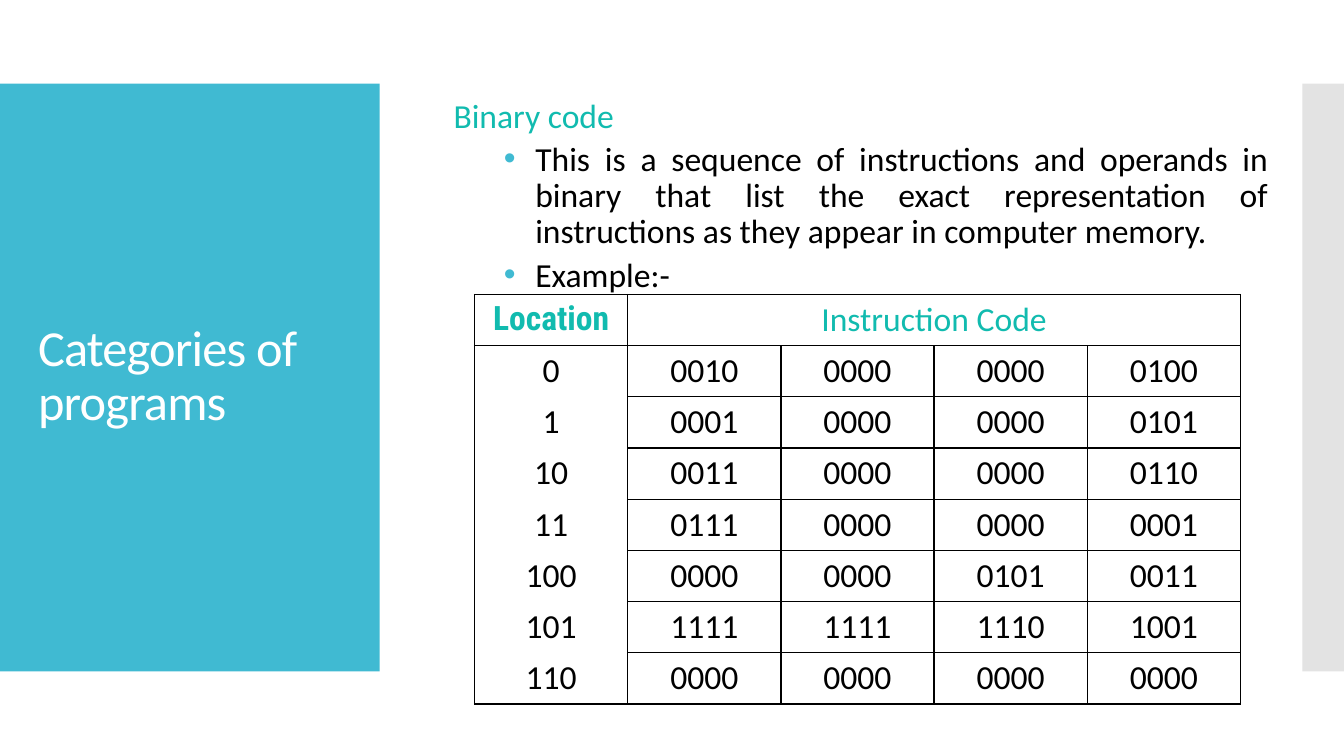
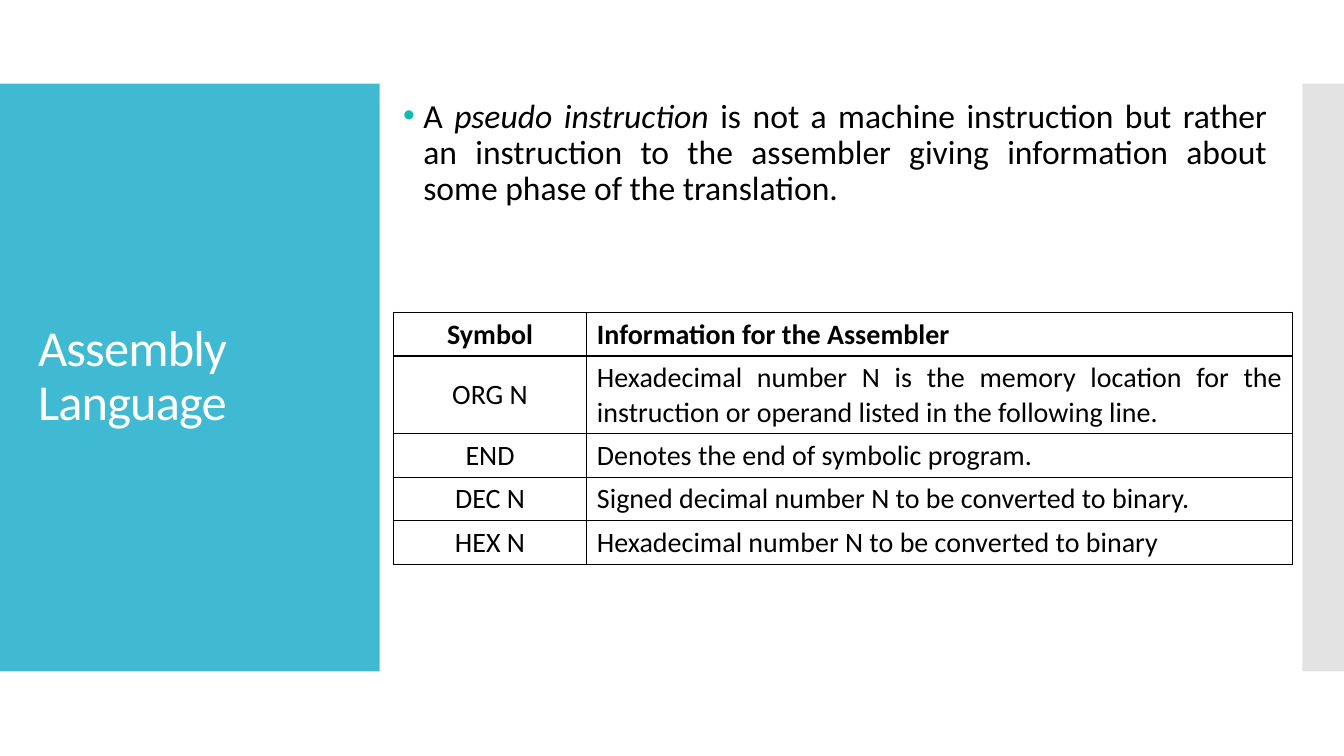
from lxml import etree
from pptx import Presentation
from pptx.dml.color import RGBColor
from pptx.enum.shapes import MSO_SHAPE
from pptx.enum.text import MSO_ANCHOR, PP_ALIGN
from pptx.oxml.ns import qn
from pptx.util import Cm, Pt

RECTANGLE = MSO_SHAPE.RECTANGLE
MIDDLE, TOP = MSO_ANCHOR.MIDDLE, MSO_ANCHOR.TOP
LEFT, CENTER, JUSTIFY = PP_ALIGN.LEFT, PP_ALIGN.CENTER, PP_ALIGN.JUSTIFY

BLUE = RGBColor(0x40, 0xBA, 0xD2)
TEAL = RGBColor(0x11, 0xBB, 0xAF)
GRAY = RGBColor(0xE3, 0xE3, 0xE3)
WHITE = RGBColor(0xFF, 0xFF, 0xFF)
BLACK = RGBColor(0x00, 0x00, 0x00)

BODY_FONT = "Calibri"
HEADER_FONT = "Roboto Condensed"
BAND_TOP, BAND_HEIGHT = Cm(2.11), Cm(14.81)
LINE_WIDTH = Pt(1)


def format_paragraph(paragraph, size, color=BLACK, align=LEFT, bullet=None):
    """Set the look of a paragraph; bullet is (colour, left margin, hanging indent)."""
    paragraph.alignment = align
    if bullet:
        bullet_color, margin, hanging = bullet
        properties = paragraph._p.get_or_add_pPr()
        properties.set("marL", str(margin))
        properties.set("indent", str(-hanging))
        color_element = etree.SubElement(properties, qn("a:buClr"))
        etree.SubElement(color_element, qn("a:srgbClr"), val=str(bullet_color))
        etree.SubElement(properties, qn("a:buFont"), typeface="Arial")
        etree.SubElement(properties, qn("a:buChar"), char="•")
    paragraph.font.name = BODY_FONT
    paragraph.font.size = Pt(size)
    paragraph.font.color.rgb = color


def fill_cell(cell, text, size, color=BLACK, align=CENTER, edges="LRTB"):
    """Write a cell and draw only the named edges."""
    cell.text = text
    cell.fill.background()
    format_paragraph(cell.text_frame.paragraphs[0], size, color, align)
    properties = cell._tc.get_or_add_tcPr()
    for index, edge in enumerate("LRTB"):
        line = etree.Element(qn(f"a:ln{edge}"), w=str(LINE_WIDTH))
        if edge in edges:
            fill = etree.SubElement(line, qn("a:solidFill"))
            etree.SubElement(fill, qn("a:srgbClr"), val=str(BLACK))
        else:
            etree.SubElement(line, qn("a:noFill"))
        properties.insert(index, line)


presentation = Presentation()
presentation.slide_width, presentation.slide_height = Cm(33.87), Cm(19.05)

# Bands, title and body box of every slide
slides, bodies = [], []
for title, body_left, body_width, body_height in (
    ("Categories of programs", Cm(11.18), Cm(21.03), Cm(15.52)),
    ("Assembly Language", Cm(9.91), Cm(22.28), Cm(3.78)),
):
    slide = presentation.slides.add_slide(presentation.slide_layouts[6])
    slides.append(slide)
    for left, width, color in ((0, Cm(9.57), BLUE), (Cm(32.82), Cm(1.05), GRAY)):
        band = slide.shapes.add_shape(RECTANGLE, left, BAND_TOP, width, BAND_HEIGHT)
        band.fill.solid()
        band.fill.fore_color.rgb = color
        band.line.fill.background()
        band.shadow.inherit = False

    title_frame = slide.shapes.add_textbox(Cm(0.71), Cm(3.12), Cm(8.18), Cm(12.78)).text_frame
    title_frame.word_wrap = True
    title_frame.vertical_anchor = MIDDLE
    title_paragraph = title_frame.paragraphs[0]
    title_paragraph.text = title
    title_paragraph.line_spacing = 0.9
    format_paragraph(title_paragraph, 36, WHITE)
    title_paragraph.font._element.set("spc", "-60")

    body = slide.shapes.add_textbox(body_left, Cm(2.37), body_width, body_height).text_frame
    body.word_wrap = True
    bodies.append(body)

binary_slide, assembly_slide = slides
binary_body, assembly_body = bodies

# Binary code
heading = binary_body.paragraphs[0]
heading.text = "Binary code"
heading.line_spacing = 0.9
format_paragraph(heading, 24, TEAL, JUSTIFY)
for text in (
    "This is a sequence of instructions and operands in binary that list the exact "
    "representation of instructions as they appear in computer memory.",
    "Example:-",
):
    paragraph = binary_body.add_paragraph()
    paragraph.text = text
    paragraph.line_spacing = 0.9
    paragraph.space_before = Pt(5)
    format_paragraph(paragraph, 24, align=JUSTIFY, bullet=(BLUE, Cm(2.06), Cm(0.79)))

code_rows = (
    ("Location", "Instruction Code", "", "", ""),
    ("0", "0010", "0000", "0000", "0100"),
    ("1", "0001", "0000", "0000", "0101"),
    ("10", "0011", "0000", "0000", "0110"),
    ("11", "0111", "0000", "0000", "0001"),
    ("100", "0000", "0000", "0101", "0011"),
    ("101", "1111", "1111", "1110", "1001"),
    ("110", "0000", "0000", "0000", "0000"),
)
code_table = binary_slide.shapes.add_table(
    len(code_rows), 5, Cm(11.96), Cm(7.42), Cm(19.3), Cm(10.32)
).table

# Pseudo instructions
definition = assembly_body.paragraphs[0]
definition.line_spacing = 0.9
format_paragraph(definition, 24, align=JUSTIFY, bullet=(TEAL, Cm(0.51), Cm(0.51)))
for text, italic in (
    ("A ", False),
    ("pseudo instruction", True),
    (" is not a machine instruction but rather an instruction to the assembler "
     "giving information about some phase of the translation.", False),
):
    run = definition.add_run()
    run.text = text
    run.font.italic = italic

symbol_rows = (
    ("Symbol", "Information for the Assembler"),
    ("ORG N", "Hexadecimal number N is the memory location for the instruction "
              "or operand listed in the following line."),
    ("END", "Denotes the end of symbolic program."),
    ("DEC N", "Signed decimal number N to be converted to binary."),
    ("HEX N", "Hexadecimal number N to be converted to binary"),
)
symbol_table = assembly_slide.shapes.add_table(
    len(symbol_rows), 2, Cm(9.91), Cm(7.87), Cm(22.66), Cm(5.35)
).table
symbol_table.columns[0].width, symbol_table.columns[1].width = Cm(4.88), Cm(17.78)

for table in (code_table, symbol_table):
    table.first_row = False
    table.horz_banding = False

for row, values in enumerate(code_rows):
    for column, value in enumerate(values):
        edges = "LRTB"
        if column == 0 and row > 0:
            edges = "LR" + ("T" if row == 1 else "") + ("B" if row == len(code_rows) - 1 else "")
        color = TEAL if row == 0 else BLACK
        fill_cell(code_table.cell(row, column), value, 24, color, edges=edges)
code_table.cell(0, 1).merge(code_table.cell(0, 4))
location_font = code_table.cell(0, 0).text_frame.paragraphs[0].font
location_font.name = HEADER_FONT
location_font.bold = True

for row, values in enumerate(symbol_rows):
    for column, value in enumerate(values):
        cell = symbol_table.cell(row, column)
        wraps = row == 1
        text_align = JUSTIFY if wraps else LEFT
        fill_cell(cell, value, 20, align=text_align if column else CENTER)
        cell.vertical_anchor = MIDDLE if wraps else TOP
        cell.text_frame.paragraphs[0].font.bold = row == 0

presentation.save("out.pptx")
